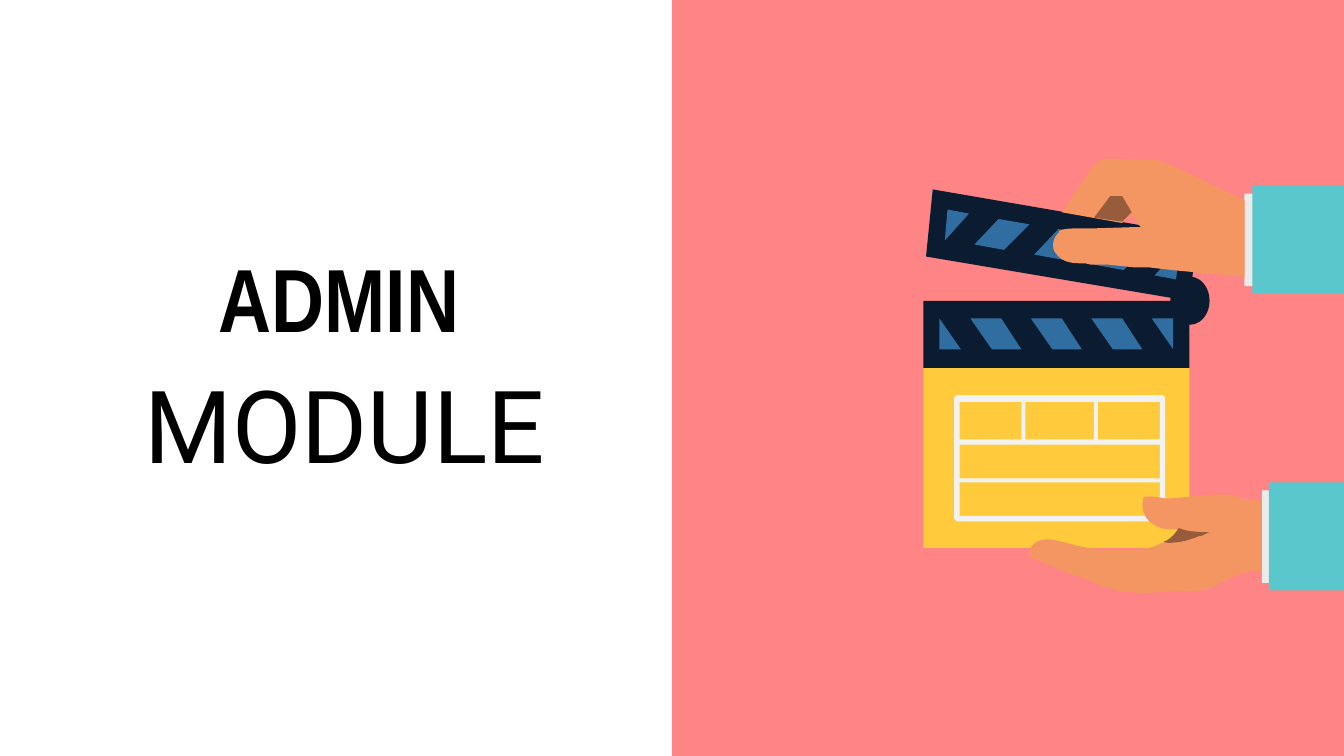
"""Build the Admin Module title slide with a film clapper held by two hands."""
from lxml import etree
from pptx import Presentation, util as u
from pptx.dml.color import RGBColor
from pptx.enum import shapes, text
from pptx.oxml import ns

HUES = {
    "coral": "FF8485", "navy": "0B1C31", "blue": "306DA1", "gold": "FFCB3C",
    "pale": "F2F2F2", "cuff": "EBEBEB", "teal": "5AC7CC", "skin": "F49662",
    "black": "000000",
}
UNIT = u.Cm(2.54) / 1000
STEPS = 8

deck = Presentation()
deck.slide_width, deck.slide_height = u.Cm(25.4), u.Cm(14.29)
slide = deck.slides.add_slide(deck.slide_layouts[0])


def paint(shape, hue):
    shape.shadow.inherit = False
    shape.fill.solid()
    shape.fill.fore_color.rgb = RGBColor.from_string(HUES[hue])
    shape.line.fill.background()
    return shape


def draw(hue, *loops):
    """Fill closed loops in hundredths of an inch; six numbers make a curve."""
    pen = None
    for start, *parts in loops:
        last, dots = start, []
        for part in parts:
            if len(part) == 6:
                a, b, c = part[:2], part[2:4], part[4:]
                for step in range(1, STEPS + 1):
                    t = step / STEPS
                    s = 1 - t
                    dots.append([
                        10 * (s**3 * p + 3 * s * s * t * q + 3 * s * t * t * r + t**3 * e)
                        for p, q, r, e in zip(last, a, b, c)
                    ])
            else:
                dots.append([10 * n for n in part])
            last = part[-2:]
        first = [10 * n for n in start]
        if pen is None:
            pen = slide.shapes.build_freeform(*first, scale=UNIT)
        else:
            pen.move_to(*first)
        pen.add_line_segments(dots, close=True)
    return paint(pen.convert_to_shape(), hue)


RECT, OVAL = shapes.MSO_SHAPE.RECTANGLE, shapes.MSO_SHAPE.OVAL
add = slide.shapes.add_shape
paint(add(RECT, u.Cm(12.7), 0, u.Cm(12.7), deck.slide_height), "coral")

paint(add(RECT, u.Cm(17.45), u.Cm(5.69), u.Cm(5.03), u.Cm(1.27)), "navy")
for left in (722, 767, 812):
    draw("blue", [(left, 237), (left + 23, 237), (left + 38, 260), (left + 16, 260)])
draw("blue", [(857, 237), (873, 237), (873, 260)])
draw("blue", [(699, 237), (715, 260), (699, 260)])

draw("navy", [(694, 141), (891, 175), (885, 224), (689, 191)])
for i in range(3):
    left, top = 725 + 44.5 * i, 163 + 7.5 * i
    draw("blue", [(left + 18, top), (left + 41, top + 4),
                  (left + 22, top + 23), (left, top + 19)])
draw("blue", [(705, 156), (721, 159), (703, 179)])
draw("blue", [(878, 185), (875, 208), (859, 205)])
paint(add(OVAL, u.Cm(22.12), u.Cm(5.23), u.Cm(0.74), u.Cm(0.91)), "navy")

paint(add(RECT, u.Cm(17.45), u.Cm(6.96), u.Cm(5.03), u.Cm(3.4)), "gold")
cells = [(714, 299, 760, 327), (763, 299, 814, 327), (817, 299, 863, 327),
         (714, 331, 863, 356), (714, 359, 863, 384)]
draw("pale",
     [(712, 294), (865, 294), (867, 296), (867, 386),
      (865, 388), (712, 388), (710, 386), (710, 296)],
     *[[(l, t), (l, b), (r, b), (r, t)] for l, t, r, b in cells])

low = [
    (766, 414), (775, 419, 782, 421, 791, 425), (798, 428, 806, 430, 813, 433),
    (821, 437, 825, 437, 833, 440), (841, 441, 850, 442, 860, 441),
    (868, 440, 882, 440, 890, 440), (897, 439, 901, 438, 908, 434),
    (917, 430, 925, 425, 934, 425), (939, 425), (939, 373),
    (934, 372, 928, 372, 924, 371), (918, 368, 912, 368, 906, 368),
    (892, 368, 880, 371, 867, 371), (862, 370, 856, 369, 851, 370),
    (846, 386, 861, 394, 870, 394), (877, 394), (873, 398, 870, 402, 865, 404),
    (858, 407, 858, 408, 844, 409), (825, 409, 826, 410, 812, 408),
    (802, 407, 799, 405, 789, 403), (776, 399, 769, 403, 766, 409),
    (766, 410, 765, 412, 766, 414),
]
lowdim = [
    (877, 393), (885, 396, 892, 396, 900, 396), (897, 397, 895, 399, 892, 399),
    (885, 402, 878, 404, 870, 404), (869, 404, 867, 404, 866, 403),
    (870, 402, 874, 398, 877, 393),
]
high = [
    (926, 149), (926, 206), (872, 201), (855, 199), (844, 199), (825, 197), (812, 197),
    (807, 196, 809, 196, 804, 196), (798, 196, 790, 195, 786, 189),
    (782, 185, 783, 177, 788, 173), (788, 172), (791, 170, 798, 170, 803, 170),
    (813, 170), (845, 169), (849, 169), (847, 167), (842, 159), (835, 166),
    (790, 158), (814, 123), (817, 121), (818, 118, 820, 118, 824, 118),
    (859, 119), (861, 119, 876, 124, 880, 127),
]
highdim = [(835, 146), (842, 158), (835, 165), (814, 162), (826, 146)]
arms = [(23.85, 9.27, 23.98, 9.12, low, lowdim),
        (23.52, 3.66, 23.67, 3.5, high, highdim)]
for cuff, ctop, sleeve, stop, hand, dim in arms:
    paint(add(RECT, u.Cm(cuff), u.Cm(ctop), u.Cm(0.79), u.Cm(1.75)), "cuff")
    paint(add(RECT, u.Cm(sleeve), u.Cm(stop), u.Cm(25.4 - sleeve), u.Cm(2.04)), "teal")
    draw("skin", hand)
    shade = draw("black", dim)
    tint = shade.fill._xPr.find(".//" + ns.qn("a:srgbClr"))
    etree.SubElement(tint, ns.qn("a:alpha"), val="38000")

title, body = slide.placeholders
top, low_end = text.MSO_ANCHOR.TOP, text.MSO_ANCHOR.BOTTOM
for holder, words, place, face, size, bold, hold in (
    (title, "ADMIN", (0.79, 2.77, 11.23, 4.11), "Arial Narrow", 48, True, low_end),
    (body, "MODULE", (0.74, 6.6, 11.23, 3.43), "Roboto", 54, False, top),
):
    holder.left, holder.top, holder.width, holder.height = map(u.Cm, place)
    frame = holder.text_frame
    frame.text = words
    frame.word_wrap = True
    frame.auto_size = text.MSO_AUTO_SIZE.NONE
    frame.vertical_anchor = hold
    frame.margin_left = frame.margin_right = u.Cm(0.25)
    frame.margin_top = frame.margin_bottom = u.Cm(0.25)
    line = frame.paragraphs[0]
    line.alignment = text.PP_ALIGN.CENTER
    line.space_before = u.Pt(0)
    line.font.name, line.font.size, line.font.bold = face, u.Pt(size), bold
    line.font.color.rgb = RGBColor.from_string(HUES["black"])
props = body.text_frame.paragraphs[0]._p.get_or_add_pPr()
props.set("marL", str(u.Cm(1.27)))
props.set("indent", str(u.Cm(-0.95)))

deck.save("out.pptx")
